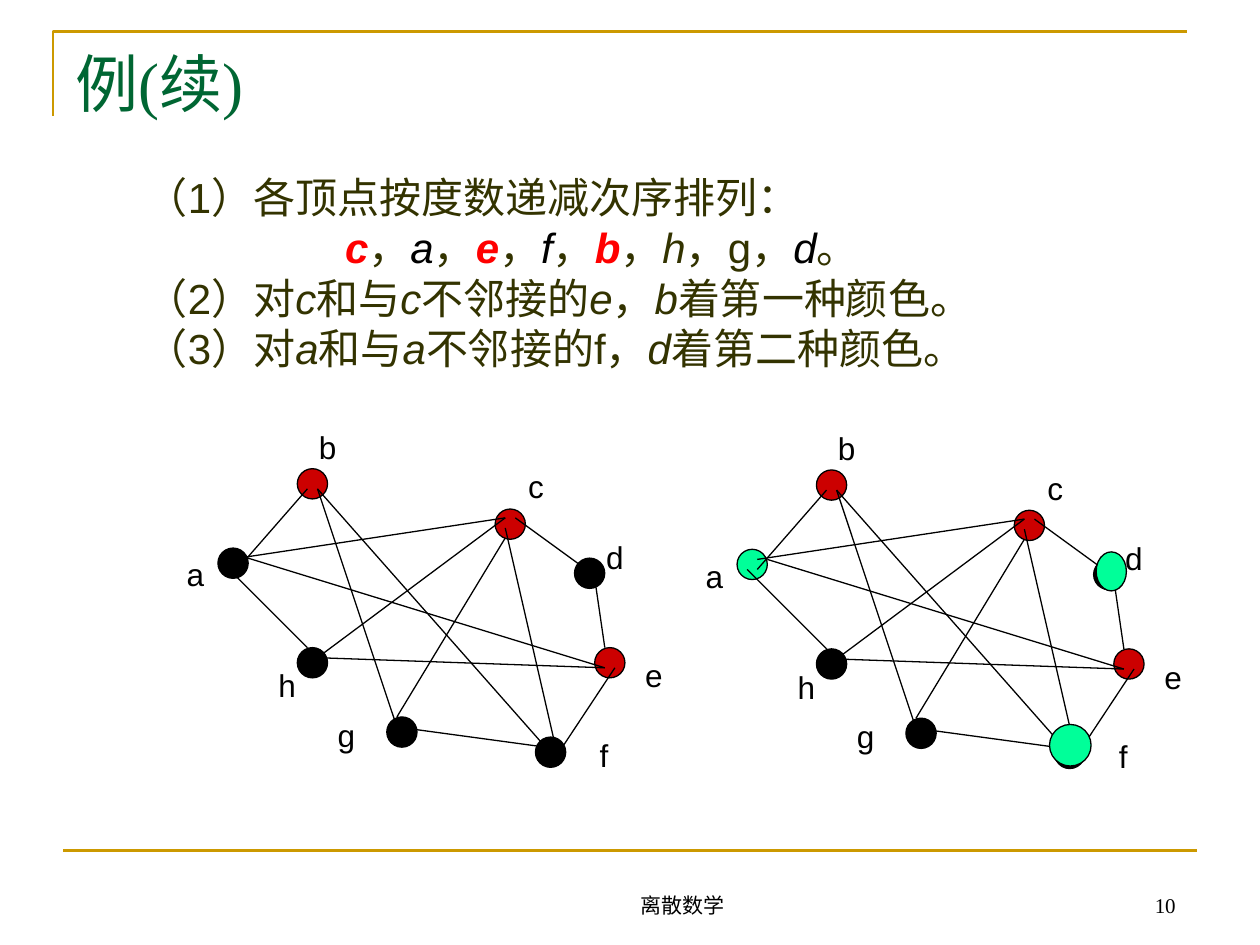
from dataclasses import dataclass

from lxml.etree import SubElement
from pptx import Presentation
from pptx.dml.color import RGBColor
from pptx.enum.shapes import MSO_CONNECTOR as Connector, MSO_SHAPE as Shape
from pptx.enum.text import MSO_ANCHOR as Anchor, MSO_AUTO_SIZE as AutoSize, PP_ALIGN as Align
from pptx.oxml.ns import qn
from pptx.util import Inches, Pt


@dataclass(frozen=True)
class Theme:
    gold: str = "CC9900"
    green: str = "006633"
    olive: str = "333300"
    black: str = "000000"
    bright: str = "FF0000"
    first: str = "CC0000"
    second: str = "00FF99"
    sans: str = "Arial"
    serif: str = "Times New Roman"
    title: int = 36
    body: int = 24
    label: int = 18
    footer: int = 12
    rule: float = 1.5
    edge: float = 0.75


THEME = Theme()

# Span styles: colour, bold, italic
PLAIN = (THEME.olive, False, False)
VERTEX = (THEME.olive, False, True)
FIRST = (THEME.bright, True, True)
SECOND = (THEME.black, False, True)

# Each paragraph: left margin, first-line indent, spans
STEPS = [
    (0.88, -0.88, [("（1）各顶点按度数递减次序排列：", PLAIN)]),
    (1.58, 0, [("c", FIRST), ("，", PLAIN), ("a", SECOND), ("，", PLAIN),
               ("e", FIRST), ("，", PLAIN), ("f", SECOND), ("，", PLAIN),
               ("b", FIRST), ("，", PLAIN), ("h", VERTEX), ("，g，", PLAIN),
               ("d", SECOND), ("。", PLAIN)]),
    (0.88, -0.88, [("（2）对", PLAIN), ("c", VERTEX), ("和与", PLAIN), ("c", VERTEX),
                   ("不邻接的", PLAIN), ("e", VERTEX), ("，", PLAIN), ("b", VERTEX),
                   ("着第一种颜色。", PLAIN)]),
    (0.88, -0.88, [("（3）对", PLAIN), ("a", VERTEX), ("和与", PLAIN), ("a", VERTEX),
                   ("不邻接的f，", PLAIN), ("d", VERTEX), ("着第二种颜色。", PLAIN)]),
]

# Vertex: left and top of its dot, then left, top and width of its label
VERTICES = {
    "b": (2.36, 3.72, 2.43, 3.35, 0.34),
    "a": (1.73, 4.35, 1.38, 4.36, 0.34),
    "h": (2.36, 5.14, 2.11, 5.24, 0.34),
    "c": (3.93, 4.04, 4.09, 3.66, 0.33),
    "g": (3.07, 5.69, 2.58, 5.63, 0.34),
    "e": (4.72, 5.14, 5.02, 5.16, 0.34),
    "f": (4.25, 5.85, 4.66, 5.79, 0.27),
    "d": (4.56, 4.43, 4.71, 4.22, 0.34),
}
DOT = 0.24
EDGES = [
    (2.44, 3.88, 1.89, 4.51),  # b-a
    (1.81, 4.51, 2.44, 5.14),  # a-h
    (2.52, 3.88, 4.33, 5.93),  # b-f
    (1.97, 4.43, 4.80, 5.30),  # a-e
    (2.52, 5.22, 4.80, 5.30),  # h-e
    (2.52, 3.88, 3.15, 5.77),  # b-g
    (3.15, 5.77, 4.33, 5.93),  # g-f
    (4.88, 5.30, 4.41, 6.01),  # e-f
    (4.72, 4.59, 4.80, 5.14),  # d-e
    (4.64, 4.51, 4.09, 4.11),  # d-c
    (4.01, 4.19, 4.41, 5.93),  # c-f
    (4.01, 4.11, 2.52, 5.22),  # c-h
    (4.01, 4.11, 1.89, 4.43),  # c-a
    (4.01, 4.27, 3.15, 5.69),  # c-g
]


def color(value):
    return RGBColor.from_string(value)


def style_line(line, value, width):
    line.color.rgb = color(value)
    line.width = Pt(width)


def add_line(shapes, x1, y1, x2, y2, value=THEME.black, width=THEME.edge):
    line = shapes.add_connector(Connector.STRAIGHT, *map(Inches, (x1, y1, x2, y2)))
    style_line(line.line, value, width)
    SubElement(line._element.spPr, qn("a:effectLst"))


def add_oval(shapes, left, top, width, height, fill):
    oval = shapes.add_shape(Shape.OVAL, *map(Inches, (left, top, width, height)))
    oval.shadow.inherit = False
    oval.fill.solid()
    oval.fill.fore_color.rgb = color(fill)
    style_line(oval.line, THEME.black, THEME.edge)


def add_text(shapes, area, text, size, name, value=THEME.black,
             align=Align.LEFT, anchor=Anchor.TOP, wrap=True):
    box = shapes.add_textbox(*map(Inches, area))
    frame = box.text_frame
    frame.word_wrap = wrap
    frame.vertical_anchor = anchor
    para = frame.paragraphs[0]
    para.text = text
    para.alignment = align
    para.font.size = Pt(size)
    para.font.name = name
    para.font.color.rgb = color(value)


def add_steps(shapes):
    box = shapes.add_textbox(*map(Inches, (1.06, 1.31, 7.95, 1.72)))
    frame = box.text_frame
    frame.word_wrap = True
    frame.auto_size = AutoSize.SHAPE_TO_FIT_TEXT
    for index, (margin, indent, spans) in enumerate(STEPS):
        para = frame.add_paragraph() if index else frame.paragraphs[0]
        props = para._p.get_or_add_pPr()
        props.set("marL", str(Inches(margin)))
        props.set("indent", str(Inches(indent)))
        para.font.size = Pt(THEME.body)
        para.font.name = THEME.sans
        for text, (value, bold, italic) in spans:
            span = para.add_run()
            span.text = text
            span.font.color.rgb = color(value)
            span.font.bold = bold
            span.font.italic = italic


def add_graph(page, dx, dy, fills):
    shapes = page.shapes.add_group_shape().shapes
    for name, (left, top, *_) in VERTICES.items():
        add_oval(shapes, left + dx, top + dy, DOT, DOT, fills.get(name, THEME.black))
    for x1, y1, x2, y2 in EDGES:
        add_line(shapes, x1 + dx, y1 + dy, x2 + dx, y2 + dy)
    for name, (_, _, left, top, width) in VERTICES.items():
        add_text(shapes, (left + dx, top + dy, width, 0.4), name,
                 THEME.label, THEME.sans, align=Align.CENTER, wrap=False)


def add_frame(shapes):
    builder = shapes.build_freeform(Inches(0.42), Inches(0.92))
    corners = [(0.42, 0.25), (9.42, 0.25)]
    builder.add_line_segments([(Inches(x), Inches(y)) for x, y in corners], close=False)
    corner = builder.convert_to_shape()
    corner.shadow.inherit = False
    corner.fill.background()
    style_line(corner.line, THEME.gold, THEME.rule)
    add_line(shapes, 0.5, 6.75, 9.5, 6.75, THEME.gold, THEME.rule)


def main():
    deck = Presentation()
    deck.slide_width, deck.slide_height = Inches(10), Inches(7.5)
    page = deck.slides.add_slide(deck.slide_layouts[6])
    shapes = page.shapes

    # Frame, title and steps
    add_frame(shapes)
    add_text(shapes, (0.5, 0.3, 9, 1.25), "例(续)", THEME.title, THEME.serif, THEME.green)
    add_steps(shapes)

    # Graph after the first colour, then after the second
    first = dict.fromkeys("bce", THEME.first)
    add_graph(page, 0, 0, first)
    add_graph(page, 4.12, 0.01, {**first, "a": THEME.second})
    add_oval(shapes, 8.7, 4.38, 0.24, 0.31, THEME.second)
    add_oval(shapes, 8.33, 5.75, 0.33, 0.33, THEME.second)

    # Footer
    add_text(shapes, (3.83, 6.83, 3.17, 0.5), "离散数学", THEME.footer, THEME.serif,
             align=Align.CENTER, anchor=Anchor.BOTTOM)
    add_text(shapes, (8.33, 6.83, 1.1, 0.5), "10", THEME.footer, THEME.serif,
             align=Align.RIGHT, anchor=Anchor.BOTTOM)

    deck.save("out.pptx")


if __name__ == "__main__":
    main()
